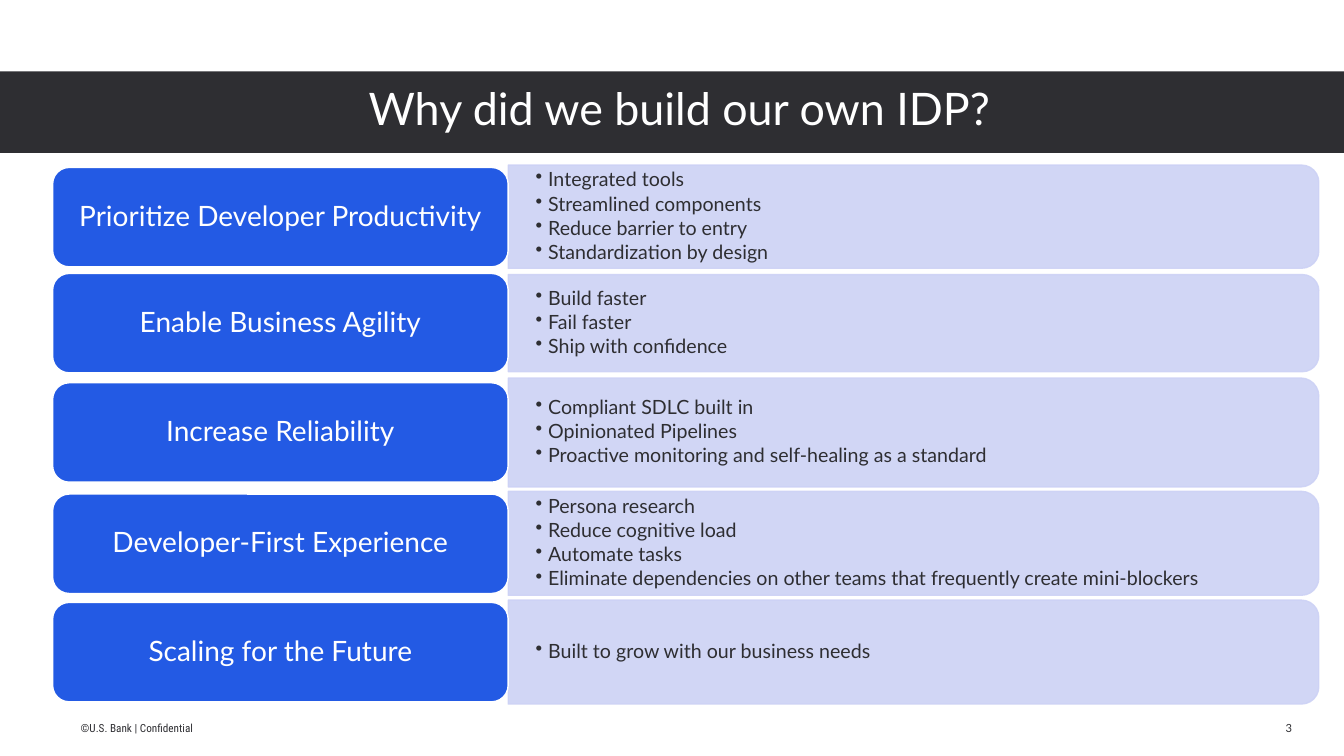
"""Build the slide that gives five reasons for building an internal developer platform."""
import lxml.etree
import pptx
import pptx.dml.color
import pptx.enum.shapes
import pptx.enum.text
import pptx.oxml.ns
import pptx.util
from dataclasses import dataclass

TITLE = "Why did we build our own IDP?"
FOOTER = "©U.S. Bank | Confidential"
PAGE_NUMBER = "3"
# Each reason: label, benefits, row centre, label centre, panel height
REASONS = [
    ("Prioritize Developer Productivity",
     ["Integrated tools", "Streamlined components", "Reduce barrier to entry", "Standardization by design"],
     154.8, 155.1, 73.7),
    ("Enable Business Agility",
     ["Build faster", "Fail faster", "Ship with confidence"],
     230.8, 230.8, 69.3),
    ("Increase Reliability",
     ["Compliant SDLC built in", "Opinionated Pipelines",
      "Proactive monitoring and self-healing as a standard"],
     308.9, 308.9, 77.8),
    ("Developer-First Experience",
     ["Persona research", "Reduce cognitive load", "Automate tasks",
      "Eliminate dependencies on other teams that frequently create mini-blockers"],
     388.1, 388.4, 74.2),
    ("Scaling for the Future",
     ["Built to grow with our business needs"],
     465.8, 465.8, 74.2),
]

Pt = pptx.util.Pt
SHAPE = pptx.enum.shapes.MSO_SHAPE
ALIGN = pptx.enum.text.PP_ALIGN
ANCHOR = pptx.enum.text.MSO_ANCHOR


@dataclass(frozen=True)
class Theme:
    dark: str = "2E2E32"
    white: str = "FFFFFF"
    blue: str = "235AE4"
    lavender: str = "CDD2F5"
    panel_opacity: int = 90
    font: str = "Lato"
    footer_font: str = "Roboto Condensed"
    title_size: int = 32
    label_size: int = 20
    benefit_size: int = 14
    footer_size: int = 8


THEME = Theme()
LABEL_LEFT, LABEL_WIDTH, LABEL_HEIGHT = 37.6, 325.4, 71
PANEL_LEFT, PANEL_WIDTH = 363, 579
BENEFIT_WIDTH, BENEFIT_INDENT = 575, 9


def rgb(value):
    return pptx.dml.color.RGBColor.from_string(value)


def add_child(parent, tag, **attributes):
    child = lxml.etree.SubElement(parent, pptx.oxml.ns.qn(tag))
    for name, value in attributes.items():
        child.set(name, str(value))


def write(box, lines, *, size, color, font=THEME.font, align=ALIGN.LEFT, anchor=ANCHOR.MIDDLE,
          insets=(7.2, 3.6), line_spacing=0.9, space_after=0, bullet=False):
    frame = box.text_frame
    frame.word_wrap = True
    frame.vertical_anchor = anchor
    frame.margin_left = frame.margin_right = Pt(insets[0])
    frame.margin_top = frame.margin_bottom = Pt(insets[1])
    for index, line in enumerate(lines):
        para = frame.add_paragraph() if index else frame.paragraphs[0]
        if bullet:
            properties = para._p.get_or_add_pPr()
            properties.set("marL", str(Pt(BENEFIT_INDENT)))
            properties.set("indent", str(-Pt(BENEFIT_INDENT)))
            add_child(properties, "a:buChar", char="•")
            para.level = 1
        para.alignment = align
        para.line_spacing = line_spacing
        para.space_after = Pt(space_after)
        span = para.add_run()
        span.text = line
        span.font.name = font
        span.font.size = Pt(size)
        span.font.color.rgb = rgb(color)


def add_box(page, left, top, width, height):
    return page.shapes.add_textbox(Pt(left), Pt(top), Pt(width), Pt(height))


def add_shape(page, kind, left, top, width, height, fill, outline=None, opacity=100):
    shape = page.shapes.add_shape(kind, Pt(left), Pt(top), Pt(width), Pt(height))
    shape.shadow.inherit = False
    shape.fill.solid()
    shape.fill.fore_color.rgb = rgb(fill)
    if outline:
        shape.line.color.rgb = rgb(outline)
        shape.line.width = Pt(1)
    else:
        shape.line.fill.background()
    if opacity < 100:
        for color in shape._element.spPr.iter(pptx.oxml.ns.qn("a:srgbClr")):
            add_child(color, "a:alpha", val=opacity * 1000)
    return shape


def add_reason(page, label, benefits, centre, label_centre, height):
    panel_left = PANEL_LEFT + (PANEL_WIDTH - height) / 2
    panel = add_shape(page, SHAPE.ROUND_2_SAME_RECTANGLE, panel_left, centre - PANEL_WIDTH / 2,
                      height, PANEL_WIDTH, THEME.lavender, THEME.lavender, THEME.panel_opacity)
    panel.rotation = 90
    text_height = height - 7
    write(add_box(page, PANEL_LEFT, centre - text_height / 2, BENEFIT_WIDTH, text_height), benefits,
          size=THEME.benefit_size, color=THEME.dark, insets=(19.5, 9.75), space_after=2.1, bullet=True)
    tile = add_shape(page, SHAPE.ROUNDED_RECTANGLE, LABEL_LEFT, label_centre - LABEL_HEIGHT / 2,
                     LABEL_WIDTH, LABEL_HEIGHT, THEME.blue, THEME.white)
    write(tile, [label], size=THEME.label_size, color=THEME.white, align=ALIGN.CENTER, insets=(6, 3))


def main():
    deck = pptx.Presentation()
    deck.slide_width, deck.slide_height = Pt(960), Pt(540)
    page = deck.slides.add_slide(deck.slide_layouts[6])
    footer_format = dict(size=THEME.footer_size, color=THEME.dark, anchor=ANCHOR.TOP,
                         insets=(0, 3.6), line_spacing=1.0)
    write(add_box(page, 57.6, 512, 207, 17), [FOOTER], font=THEME.footer_font, **footer_format)
    write(add_box(page, 839, 512, 84, 17), [PAGE_NUMBER], align=ALIGN.RIGHT, **footer_format)
    add_shape(page, SHAPE.RECTANGLE, 0, 51, 960, 58.3, THEME.dark)
    write(add_box(page, 44, 50.4, 882.7, 58.3), [TITLE], size=THEME.title_size,
          color=THEME.white, align=ALIGN.CENTER)
    for reason in REASONS:
        add_reason(page, *reason)
    deck.save("out.pptx")


if __name__ == "__main__":
    main()
